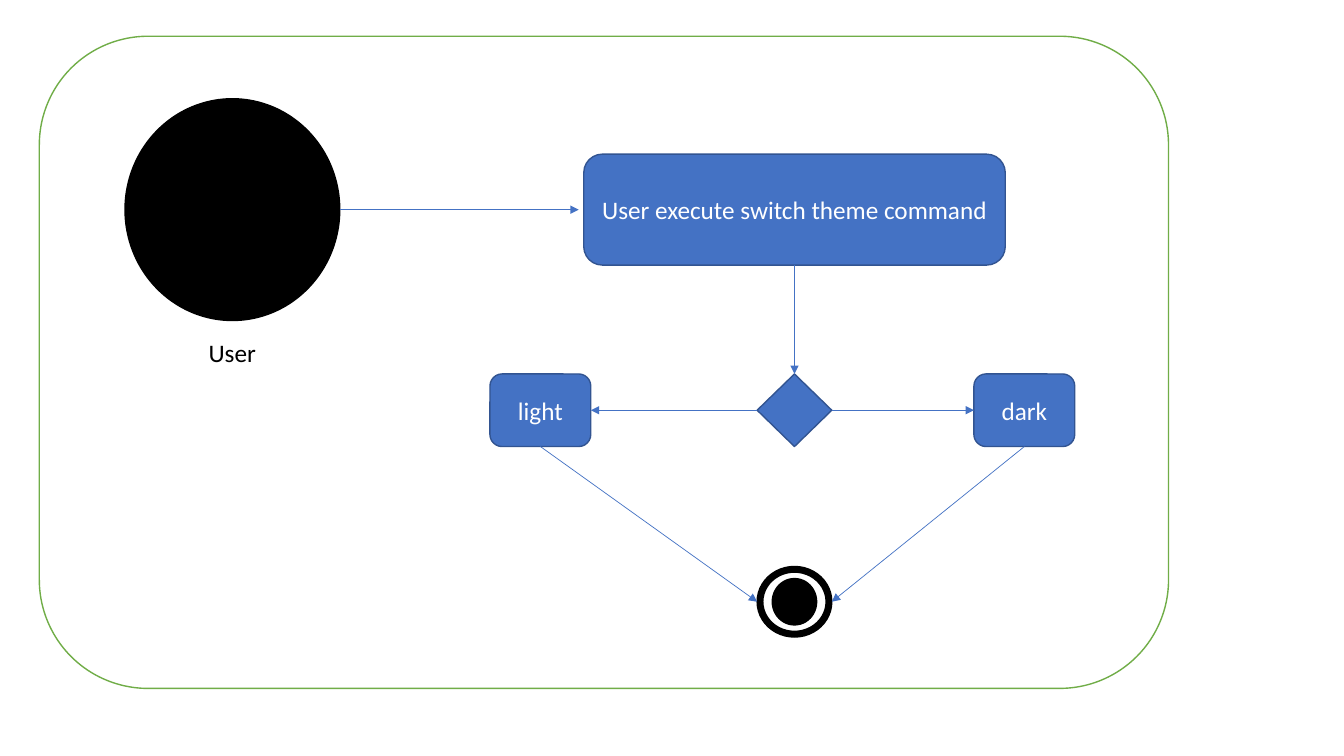
from lxml import etree
from pptx import Presentation
from pptx.dml.color import RGBColor
from pptx.enum.shapes import MSO_CONNECTOR, MSO_SHAPE
from pptx.enum.text import MSO_ANCHOR, MSO_AUTO_SIZE, PP_ALIGN
from pptx.oxml.ns import qn
from pptx.util import Pt

PX = 9144  # EMU per px, 100 px to the inch
FONT = "Calibri"
WHITE = RGBColor(0xFF, 0xFF, 0xFF)
BLACK = RGBColor(0x00, 0x00, 0x00)
GREEN = RGBColor(0x70, 0xAD, 0x47)
BLUE = RGBColor(0x44, 0x72, 0xC4)
DARK_BLUE = RGBColor(0x32, 0x54, 0x91)

ROUNDED = MSO_SHAPE.ROUNDED_RECTANGLE
DIAMOND = MSO_SHAPE.DIAMOND
OVAL = MSO_SHAPE.OVAL
DONUT = MSO_SHAPE.DONUT
STRAIGHT = MSO_CONNECTOR.STRAIGHT
MIDDLE = MSO_ANCHOR.MIDDLE
CENTER = PP_ALIGN.CENTER

TOP, LEFT, BOTTOM, RIGHT = range(4)
FOUR_SITED = (ROUNDED, DIAMOND)


def px(n):
    return n * PX


def set_text(tf, text, color):
    p = tf.paragraphs[0]
    p.text = text
    p.font.name = FONT
    p.font.size = Pt(18)
    p.font.color.rgb = color
    return p


def add_node(s, kind, x, y, w, h, fill=BLUE, line=DARK_BLUE, text=None):
    sp = s.shapes.add_shape(kind, px(x), px(y), px(w), px(h))
    sp.shadow.inherit = False
    sp.fill.solid()
    sp.fill.fore_color.rgb = fill
    sp.line.color.rgb = line
    sp.line.width = Pt(1)
    if text:
        sp.text_frame.word_wrap = True
        sp.text_frame.vertical_anchor = MIDDLE
        set_text(sp.text_frame, text, WHITE).alignment = CENTER
    return sp


def side_point(sp, side):
    mid_x, mid_y = sp.left + sp.width // 2, sp.top + sp.height // 2
    return {TOP: (mid_x, sp.top), LEFT: (sp.left, mid_y),
            BOTTOM: (mid_x, sp.top + sp.height),
            RIGHT: (sp.left + sp.width, mid_y)}[side]


def add_arrow(s, source, source_side, target, target_side, gap=0):
    """Arrow between two sides; a gap stops it short of the target's left."""
    x1, y1 = side_point(source, source_side)
    x2, y2 = side_point(target, target_side)
    c = s.shapes.add_connector(STRAIGHT, x1, y1, x2 - px(gap), y2)
    if source.auto_shape_type in FOUR_SITED:
        c.begin_connect(source, source_side)
    if target.auto_shape_type in FOUR_SITED and not gap:
        c.end_connect(target, target_side)
    c.line.color.rgb = BLUE
    c.line.width = Pt(0.5)
    etree.SubElement(c.line._get_or_add_ln(), qn("a:tailEnd"), type="triangle")
    etree.SubElement(c._element.spPr, qn("a:effectLst"))


def add_user(s, x, y):
    """Start circle with its label below."""
    circle = add_node(s, OVAL, x, y, 213, 220, BLACK, BLACK)
    label = s.shapes.add_textbox(px(x + 73), px(y + 232), px(68), px(40))
    label.text_frame.word_wrap = False
    label.text_frame.auto_size = MSO_AUTO_SIZE.SHAPE_TO_FIT_TEXT
    set_text(label.text_frame, "User", BLACK)
    return circle


def add_end(s, x, y):
    """End mark: a dot centred in a ring."""
    add_node(s, OVAL, x + 15, y + 12, 44, 46, BLACK, BLACK)
    ring = add_node(s, DONUT, x, y, 74, 70, BLACK, BLACK)
    ring.adjustments[0] = 0.08
    return ring


def add_theme_flow(s, x, y, w, h):
    # Frame
    add_node(s, ROUNDED, x, y, w, h, WHITE, GREEN)

    # Nodes
    user = add_user(s, x + 85, y + 62)
    command = add_node(s, ROUNDED, x + 540, y + 117, 418, 110,
                       text="User execute switch theme command")
    decision = add_node(s, DIAMOND, x + 712, y + 335, 74, 72)
    end = add_end(s, x + 712, y + 526)

    # Arrows into the decision
    add_arrow(s, user, RIGHT, command, LEFT, gap=5)
    add_arrow(s, command, BOTTOM, decision, TOP)

    # Theme branches
    for text, dx, outer, inner in (("light", 447, LEFT, RIGHT),
                                   ("dark", 927, RIGHT, LEFT)):
        theme = add_node(s, ROUNDED, x + dx, y + 335, 100, 72, text=text)
        add_arrow(s, decision, outer, theme, inner)
        add_arrow(s, theme, BOTTOM, end, outer)


def main():
    prs = Presentation()
    prs.slide_width, prs.slide_height = px(1333), px(750)
    s = prs.slides.add_slide(prs.slide_layouts[6])
    add_theme_flow(s, 39, 36, 1120, 647)
    prs.save("out.pptx")


if __name__ == "__main__":
    main()
